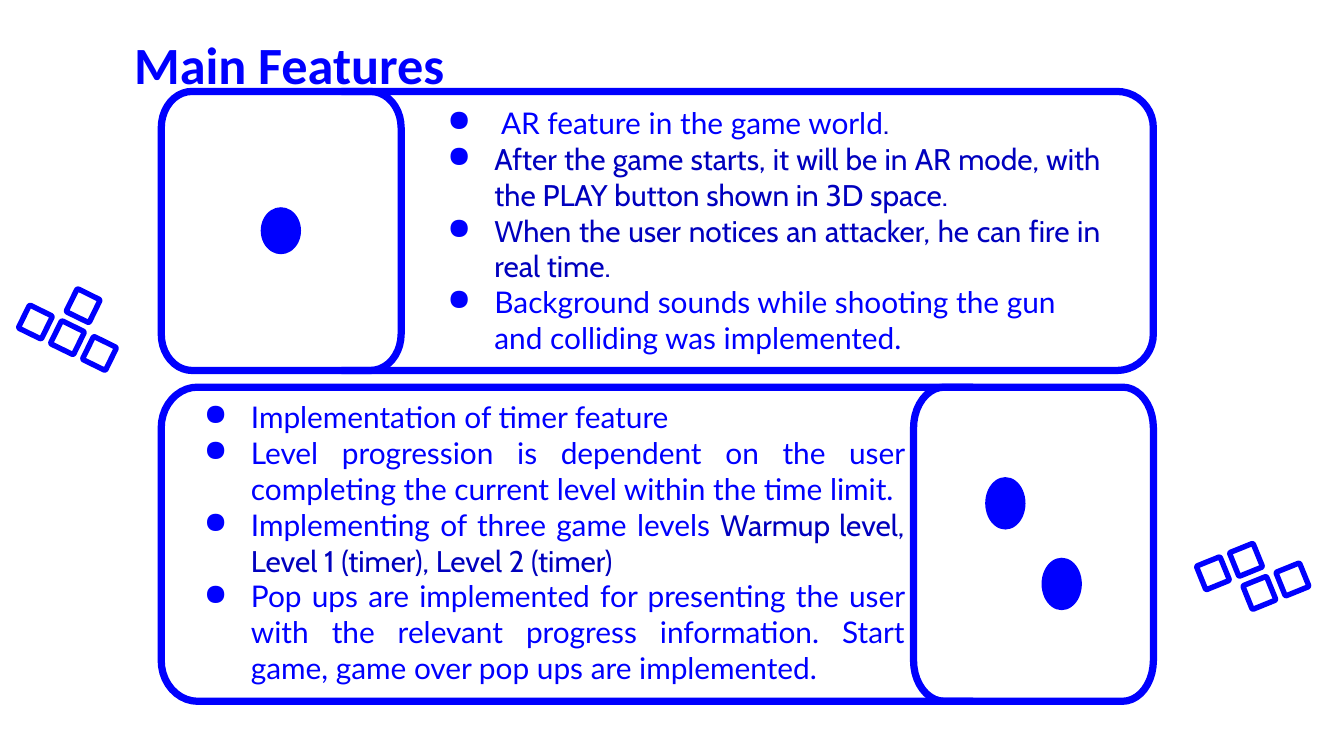
import math

import pptx
import pptx.dml.color
import pptx.enum.shapes
import pptx.enum.text
import pptx.oxml.ns
import pptx.util
from lxml import etree

Pt = pptx.util.Pt
ALIGN = pptx.enum.text.PP_ALIGN
SHAPE = pptx.enum.shapes.MSO_SHAPE
BLUE, NAVY = "0000FE", "0000BE"
LATO, CABIN = ("Lato", BLUE), ("Cabin", NAVY)


def color(target, value):
    """Give a fill or a font colour format the hex colour."""
    target.rgb = pptx.dml.color.RGBColor.from_string(value)


def paint(shape, fill=None, line=None, weight=0):
    """Set fill and line of a shape and remove its shadow."""
    shape.shadow.inherit = False
    if fill:
        shape.fill.solid()
        color(shape.fill.fore_color, fill)
    else:
        shape.fill.background()
    if line:
        color(shape.line.color, line)
        shape.line.width = Pt(weight)
    else:
        shape.line.fill.background()


def style(font, size, name, value, bold=False):
    """Set size, typeface, colour and weight of a font."""
    font.size, font.name, font.bold = Pt(size), name, bold
    color(font.color, value)


def text_frame(page, left, top, width, height):
    """Add a wrapping text box with equal insets and return its frame."""
    frame = page.shapes.add_textbox(Pt(left), Pt(top), Pt(width), Pt(height)).text_frame
    frame.word_wrap = True
    frame.margin_left = frame.margin_right = Pt(7.2)
    frame.margin_top = frame.margin_bottom = Pt(7.2)
    return frame


def add_title(page, left, top, width, height, words):
    """Add the slide title."""
    para = text_frame(page, left, top, width, height).paragraphs[0]
    para.text = words
    style(para.font, 28, "Calibri", BLUE, True)


def add_bullet(para):
    """Give a paragraph a hanging round bullet."""
    props = para._p.get_or_add_pPr()
    props.set("marL", str(Pt(36)))
    props.set("indent", str(Pt(-25.2)))
    tint = etree.SubElement(props, pptx.oxml.ns.qn("a:buClr"))
    etree.SubElement(tint, pptx.oxml.ns.qn("a:srgbClr")).set("val", BLUE)
    etree.SubElement(props, pptx.oxml.ns.qn("a:buChar")).set("char", "●")


def add_bullets(page, left, top, width, height, items):
    """Add a bulleted list of (alignment, spans) items."""
    frame = text_frame(page, left, top, width, height)
    for index, (align, spans) in enumerate(items):
        para = frame.add_paragraph() if index else frame.paragraphs[0]
        para.alignment = align
        add_bullet(para)
        for words, look in spans:
            span = para.add_run()
            span.text = words
            if len(spans) > 1:
                style(span.font, 16, *look)
        if len(spans) == 1:
            style(para.font, 16, *spans[0][1])


def corner(x, y, radius_x, radius_y, start):
    """Return points of a quarter ellipse that runs clockwise from start degrees."""
    angles = [math.radians(start + 90 * step / 10) for step in range(11)]
    return [(x + radius_x * math.cos(a), y + radius_y * math.sin(a)) for a in angles]


def add_outline(page, points, closed):
    """Draw a thick unfilled outline through the points."""
    points = [(Pt(x), Pt(y)) for x, y in points]
    builder = page.shapes.build_freeform(*points[0])
    builder.add_line_segments(points[1:], close=closed)
    paint(builder.convert_to_shape(), None, BLUE, 3.88)


def add_panel(page, left, top, width, height, mirrored, dots, dot_height):
    """Draw a dotted card and the open bracket that extends it to one side."""
    ry = height * 0.13
    bottom, right = top + height, left + width

    def place(points):
        return [(left + right - x, y) for x, y in points] if mirrored else points

    def side(edge, radius, facing_right):
        x = edge - radius if facing_right else edge + radius
        upper, lower = top + ry, bottom - ry
        if facing_right:
            return corner(x, upper, radius, ry, 270) + corner(x, lower, radius, ry, 0)
        return corner(x, lower, radius, ry, 90) + corner(x, upper, radius, ry, 180)

    card = side(left + 128.5, 16.5, True) + side(left, 16.5, False)
    open_edge = left + 96.5
    bracket = [(open_edge, top)] + side(right, 19.5, True) + [(open_edge, bottom)]
    add_outline(page, place(card), True)
    add_outline(page, place(bracket), False)
    for x, y in dots:
        dot = page.shapes.add_shape(
            SHAPE.OVAL, Pt(left + x), Pt(top + y), Pt(21.6), Pt(dot_height))
        paint(dot, BLUE)


def add_squares(page, x, y, angle, cells):
    """Draw small squares on a tilted grid whose first cell is centred at x, y."""
    pitch, size = 19.1, 13.7
    cosine, sine = math.cos(math.radians(angle)), math.sin(math.radians(angle))
    for column, row in cells:
        center_x = x + pitch * (column * cosine - row * sine)
        center_y = y + pitch * (column * sine + row * cosine)
        square = page.shapes.add_shape(
            SHAPE.ROUNDED_RECTANGLE, Pt(center_x - size / 2), Pt(center_y - size / 2),
            Pt(size), Pt(size))
        square.adjustments[0] = 0.06
        square.rotation = angle
        paint(square, None, BLUE, 2.9)


def add_features(page):
    """Build the features slide."""
    add_title(page, 64.8, 10.1, 627.8, 43.2, "Main Features")
    left, width = 86.4, 531.5
    add_bullets(page, left + 135.4, 49, 375.1, 144, [
        (ALIGN.JUSTIFY, [("\u00a0AR\u00a0feature in the game world", LATO), (".", CABIN)]),
        (ALIGN.JUSTIFY, [("After the game starts, it will be in AR mode, with the PLAY "
                          "button shown in 3D space.", CABIN)]),
        (ALIGN.JUSTIFY, [("When the user notices an attacker, he can fire in real time.",
                          CABIN)]),
        (ALIGN.LEFT, [("Background sounds while shooting the gun and colliding was "
                       "implemented.", LATO)]),
    ])
    add_bullets(page, left + 5, 206.6, 400.3, 132.5, [
        (ALIGN.JUSTIFY, [("Implementation of timer feature", LATO)]),
        (ALIGN.JUSTIFY, [("Level progression is dependent on the user completing the "
                          "current level within the time limit.", LATO)]),
        (ALIGN.JUSTIFY, [("Implementing of three game levels ", LATO),
                         ("Warmup level, Level 1 (timer), Level 2 (timer)", CABIN)]),
        (ALIGN.JUSTIFY, [("Pop ups are implemented for presenting the user with the "
                          "relevant progress information. Start game, game over\u00a0pop ups "
                          "are implemented.", LATO)]),
    ])
    add_panel(page, left, 49, width, 149.5, False, [(53.3, 62)], 25.2)
    add_panel(page, left, 207.4, width, 168.3, True, [(441.4, 48.2), (471.6, 91.4)], 28.1)
    add_squares(page, 27.4, 155.4, 26.1, [(1, 0), (1, 1), (2, 1), (0, 1)])
    add_squares(page, 649.8, 307.1, -22.1, [(1, 0), (1, 1), (2, 1), (0, 0)])


deck = pptx.Presentation()
deck.slide_width, deck.slide_height = Pt(720), Pt(405)
add_features(deck.slides.add_slide(deck.slide_layouts[6]))
deck.save("out.pptx")
